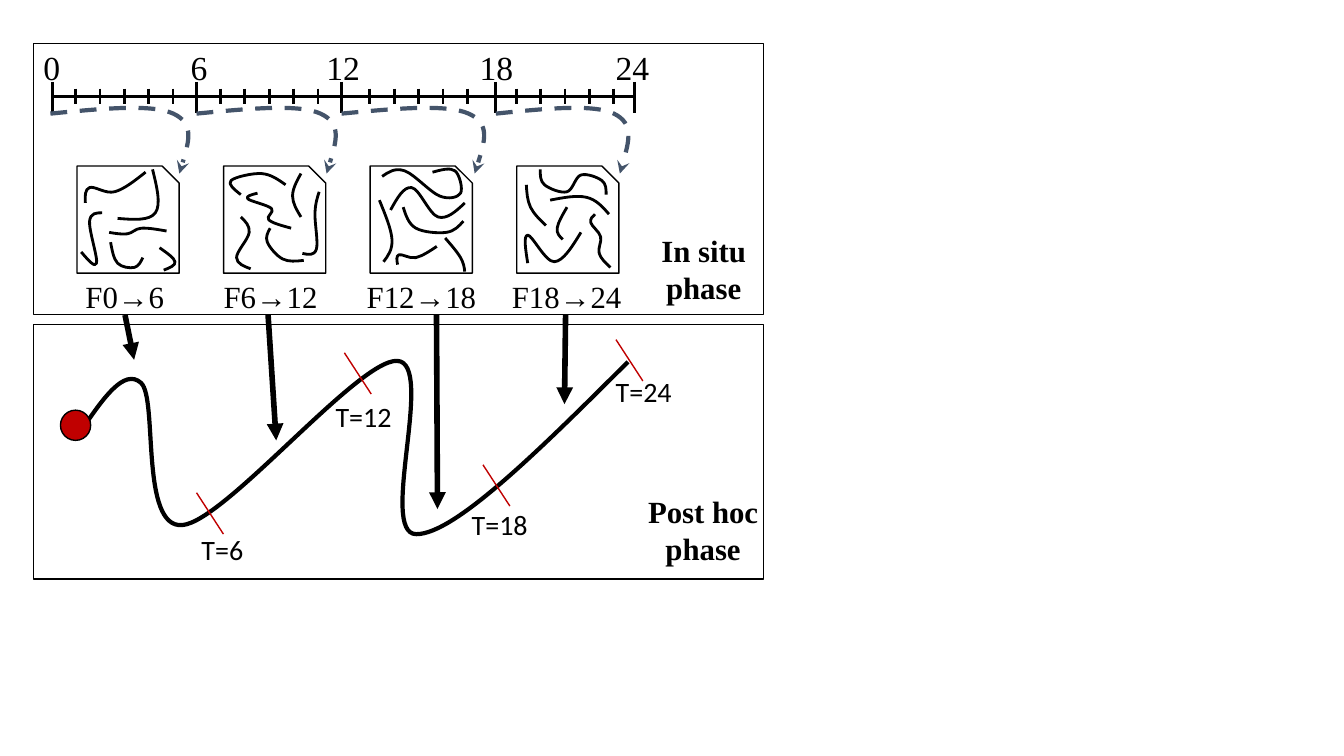
from dataclasses import dataclass

from lxml import etree
from pptx import Presentation
from pptx.dml.color import RGBColor
from pptx.enum.dml import MSO_LINE
from pptx.enum.shapes import MSO_CONNECTOR, MSO_SHAPE
from pptx.enum.text import MSO_AUTO_SIZE, PP_ALIGN
from pptx.oxml.ns import qn
from pptx.util import Pt

BLACK = RGBColor(0x00, 0x00, 0x00)
RED = RGBColor(0xC0, 0x00, 0x00)
SLATE = RGBColor(0x44, 0x54, 0x6A)
DASH = MSO_LINE.DASH
STRAIGHT = MSO_CONNECTOR.STRAIGHT
RECT = MSO_SHAPE.RECTANGLE
SNIP = MSO_SHAPE.SNIP_1_RECTANGLE
OVAL = MSO_SHAPE.OVAL
GROW = MSO_AUTO_SIZE.SHAPE_TO_FIT_TEXT
LEFT = PP_ALIGN.LEFT
MID = PP_ALIGN.CENTER
SERIF = "Times New Roman"
SANS = "Calibri"
Dot = tuple[float, float]


@dataclass
class Box:
    kind: int
    x: float
    y: float
    w: float
    h: float
    fill: RGBColor | None = None


@dataclass
class Line:
    x1: float
    y1: float
    x2: float
    y2: float
    width: float = 2
    color: RGBColor = BLACK
    tip: str = ""


@dataclass
class Curve:
    knots: list[Dot]
    width: float = 2
    color: RGBColor = BLACK
    tip: str = ""


@dataclass
class Label:
    text: str
    x: float
    y: float
    w: float
    h: float
    size: float
    font: str = SERIF
    align: int = LEFT
    bold: bool = False


def add_tip(shape, tip: str) -> None:
    if tip:
        etree.SubElement(shape.line._get_or_add_ln(), qn("a:tailEnd"), type=tip)


def draw_box(shapes, box: Box) -> None:
    shape = shapes.add_shape(box.kind, Pt(box.x), Pt(box.y), Pt(box.w), Pt(box.h))
    shape.shadow.inherit = False
    if box.fill is None:
        shape.fill.background()
    else:
        shape.fill.solid()
        shape.fill.fore_color.rgb = box.fill
    shape.line.color.rgb = BLACK
    shape.line.width = Pt(1)


def draw_line(shapes, line: Line) -> None:
    shape = shapes.add_connector(STRAIGHT, Pt(line.x1), Pt(line.y1), Pt(line.x2), Pt(line.y2))
    shape.line.color.rgb = line.color
    shape.line.width = Pt(line.width)
    add_tip(shape, line.tip)
    etree.SubElement(shape._element.spPr, qn("a:effectLst"))


def middle(a: Dot, b: Dot) -> Dot:
    return (a[0] + b[0]) / 2, (a[1] + b[1]) / 2


def smooth(knots: list[Dot]) -> list[Dot]:
    dots = []
    for (px, py), (x, y), (nx, ny) in zip(knots, knots[1:], knots[2:]):
        dx, dy = (nx - px) / 6, (ny - py) / 6
        dots += [(x - dx, y - dy), (x, y), (x + dx, y + dy)]
    head, tail = knots[0], knots[-1]
    return [head, middle(head, dots[0]), *dots, middle(dots[-1], tail), tail]


def draw_curve(shapes, curve: Curve) -> None:
    start, *rest = [(Pt(x), Pt(y)) for x, y in smooth(curve.knots)]
    pen = shapes.build_freeform(*start)
    pen.add_line_segments(rest, close=False)
    shape = pen.convert_to_shape()
    steps = list(shape._element.iter(qn("a:lnTo")))
    for trio in zip(steps[::3], steps[1::3], steps[2::3]):
        bend = etree.Element(qn("a:cubicBezTo"))
        trio[0].addprevious(bend)
        for step in trio:
            bend.append(step[0])
            step.getparent().remove(step)
    shape.shadow.inherit = False
    shape.fill.background()
    shape.line.color.rgb = curve.color
    shape.line.width = Pt(curve.width)
    if curve.color == SLATE:
        shape.line.dash_style = DASH
    add_tip(shape, curve.tip)


def draw_label(shapes, label: Label) -> None:
    box = shapes.add_textbox(Pt(label.x), Pt(label.y), Pt(label.w), Pt(label.h))
    frame = box.text_frame
    frame.word_wrap = True
    frame.auto_size = GROW
    para = frame.paragraphs[0]
    para.text = label.text
    para.alignment = label.align
    para.font.name = label.font
    para.font.size = Pt(label.size)
    para.font.bold = label.bold
    para.font.color.rgb = BLACK


FRAMES = [Box(RECT, 24, 232, 521.5, 181.5), Box(RECT, 24, 31, 521.5, 193.7)]
CARDS = [Box(SNIP, 55 + 104.7 * i, 118.6, 73, 76.5) for i in range(4)]
DOT = Box(OVAL, 43.2, 293, 21.6, 21.6, RED)

HOURS = [("0", 37.4, 23.8), ("6", 140.4, 129), ("12", 244, 226), ("18", 354.2, 335.5), ("24", 453, 432.7)]
STOPS = [("T=6", 140.4, 352, 136.8, 376.6), ("T=12", 246, 252, 232.6, 281.5),
         ("T=18", 345, 332, 329.8, 359.3), ("T=24", 440, 242.6, 432.7, 264.2)]
PARTS = [("F0→6", 54, 83.5, LEFT), ("F6→12", 152.6, 95, LEFT),
         ("F12→18", 250.6, 100.8, MID), ("F18→24", 355, 99.4, MID)]

AXIS = [Line(453, 69, 38, 69)]
MAJOR = [Line(x, 58.5, x, 80.5) for _, x, _ in HOURS]
MINOR = [Line(x + 17.4 * i, 63.4, x + 17.4 * i, 74.2)
         for x in (54, 157.5, 264.2, 368.8) for i in range(5)]
CUTS = [Line(x, y, x + 19.2, y + 29.5, 1, RED) for _, x, y, _, _ in STOPS]
DROPS = [Line(x, 225, x + dx, y, 4, BLACK, "triangle") for x, dx, y in [
    (89.3, 6.5, 257), (191.5, 5.8, 314.6), (311.8, 0.7, 363.6), (404, -0.8, 288.7)]]

TRACK = Curve([(57.6, 308.2), (100.8, 273.6), (130.3, 375.1), (283.7, 257.8),
               (297.4, 381.6), (448.6, 258.5)], 3)
HOPS = [Curve([(x, 81.2), (x + reach, 81.2), (x + reach + 4.3, 124)], 3, SLATE, "stealth")
        for x, reach in [(36, 87.8), (140.4, 88.6), (244, 90.8), (354.2, 84.3)]]
WORMS = [Curve(knots) for knots in [
    [(61, 145), (64, 134), (82, 137), (104, 123)],
    [(58, 180), (69, 188), (64, 158), (73, 152)],
    [(84, 156), (111, 152), (109, 121)],
    [(78, 166), (91, 167), (101, 163), (119, 165)],
    [(117, 193), (125, 187), (114, 177)],
    [(79, 173), (84, 188), (96, 191), (102, 184)],
    [(172, 139), (165, 129), (187, 124), (204, 132)],
    [(179, 192), (169, 184), (178, 166), (172, 155)],
    [(216, 181), (226, 178), (225, 152), (228, 137)],
    [(193, 163), (191, 173), (202, 185), (217, 186)],
    [(208, 163), (192, 157), (194, 149), (177, 142), (184, 138)],
    [(215, 155), (209, 140), (215, 124)],
    [(274, 187), (280, 171), (271, 143)],
    [(273, 126), (289, 122), (314, 140), (329, 138), (325, 122), (309, 123)],
    [(288, 148), (297, 163), (319, 166), (331, 158)],
    [(332, 145), (313, 155), (294, 134), (279, 150)],
    [(284, 189), (285, 182), (297, 184), (312, 176)],
    [(332, 194), (329, 184), (318, 170)],
    [(376, 132), (379, 148), (390, 161)],
    [(377, 188), (377, 168), (396, 187), (415, 166)],
    [(386, 121), (389, 132), (405, 137), (415, 125), (430, 129), (433, 139)],
    [(436, 191), (428, 181), (429, 169), (422, 159), (425, 153)],
    [(393, 143), (419, 141), (435, 153)],
    [(402, 171), (398, 163), (405, 148)]]]

LABELS = [
    *(Label(text, x, 30, 23 if len(text) == 1 else 47.5, 36, 24) for text, _, x in HOURS),
    *(Label(text, x, 195, w, 33.8, 22, SERIF, align) for text, x, w, align in PARTS),
    *(Label(text, x, y, 70.6, 31.7, 20, SANS) for text, _, _, x, y in STOPS),
    Label("In situ phase", 458, 162, 89.3, 60.5, 22, SERIF, MID, True),
    Label("Post hoc phase", 450.7, 348.5, 103, 60.5, 22, SERIF, MID, True),
]


def main() -> None:
    deck = Presentation()
    deck.slide_width, deck.slide_height = Pt(960), Pt(540)
    shapes = deck.slides.add_slide(deck.slide_layouts[6]).shapes
    for box in FRAMES + CARDS:
        draw_box(shapes, box)
    for line in AXIS + MAJOR + MINOR:
        draw_line(shapes, line)
    for curve in [TRACK, *WORMS, *HOPS]:
        draw_curve(shapes, curve)
    draw_box(shapes, DOT)
    for line in CUTS + DROPS:
        draw_line(shapes, line)
    for label in LABELS:
        draw_label(shapes, label)
    deck.save("out.pptx")


if __name__ == "__main__":
    main()
